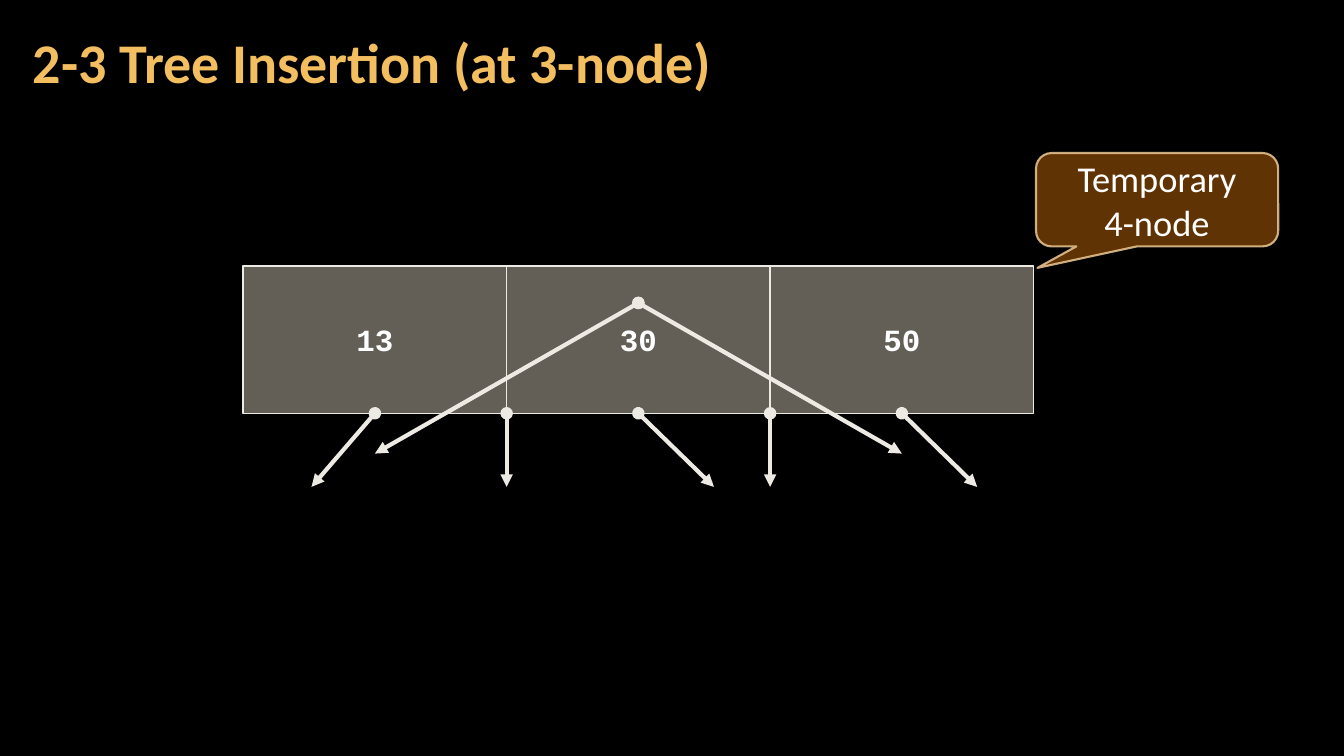
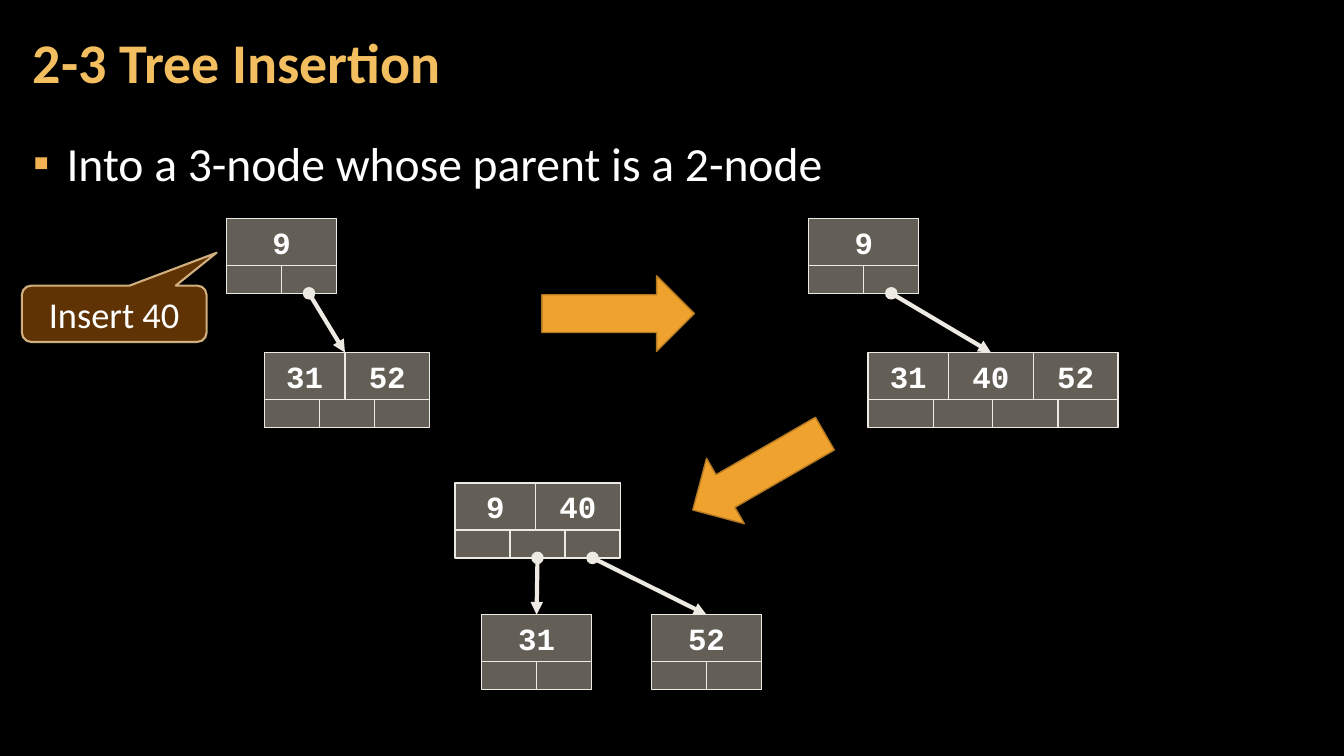
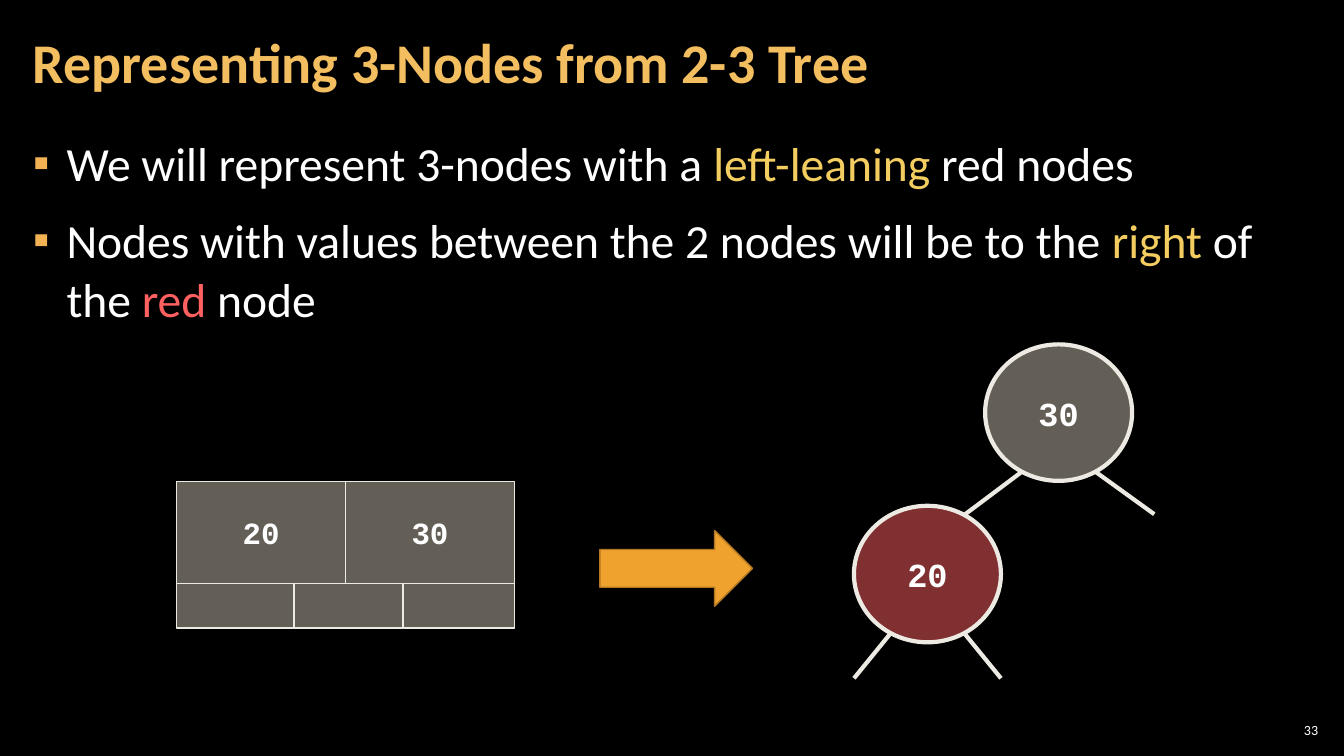
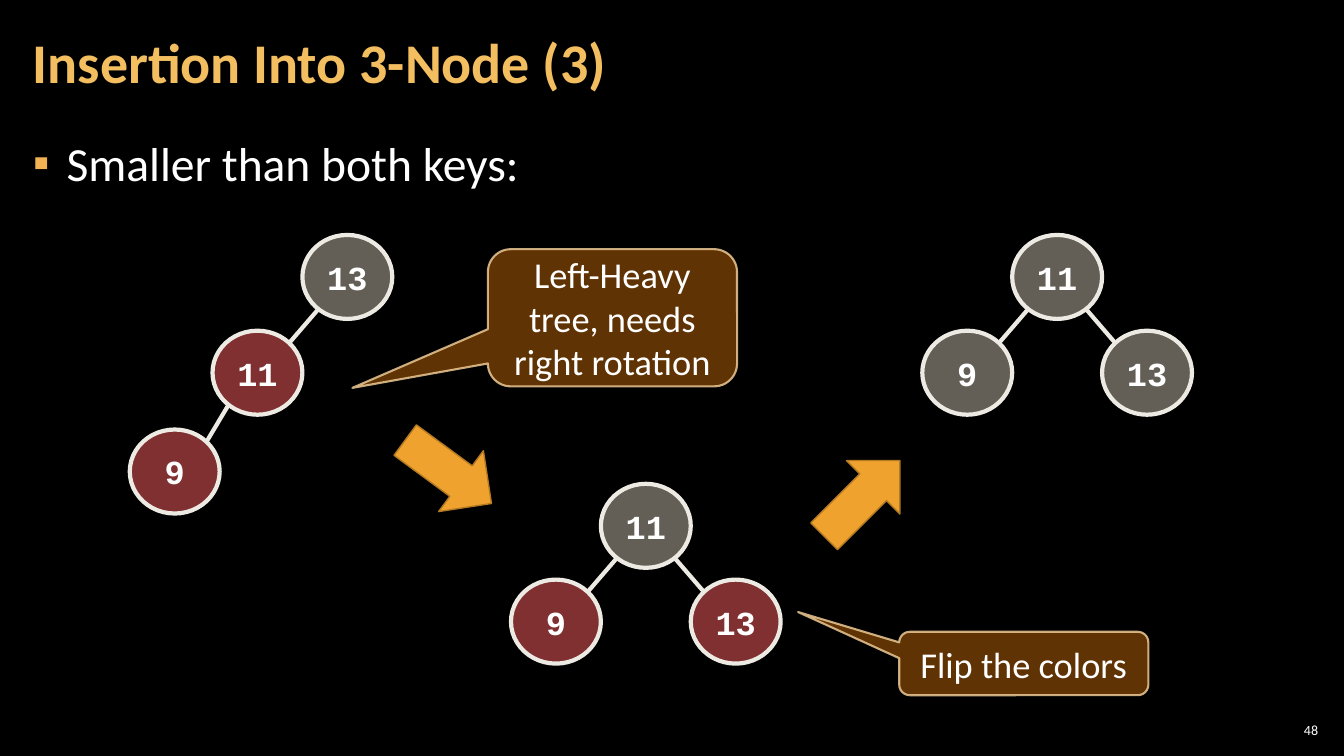
import math

import lxml.etree
import pptx
import pptx.dml.color
import pptx.enum.shapes
import pptx.enum.text
import pptx.oxml.ns
import pptx.util

Pt = pptx.util.Pt
RGBColor = pptx.dml.color.RGBColor
MSO_SHAPE = pptx.enum.shapes.MSO_SHAPE
PP_ALIGN = pptx.enum.text.PP_ALIGN
MSO_ANCHOR = pptx.enum.text.MSO_ANCHOR
qn = pptx.oxml.ns.qn

# Colours and fonts
BLACK = RGBColor(0x00, 0x00, 0x00)
WHITE = RGBColor(0xFF, 0xFF, 0xFF)
TITLE_GOLD = RGBColor(0xF3, 0xBE, 0x60)
BULLET_GOLD = RGBColor(0xF2, 0xB2, 0x54)
HIGHLIGHT = RGBColor(0xF3, 0xCD, 0x60)
RED = RGBColor(0xFF, 0x61, 0x61)
SAND = RGBColor(0xC7, 0xBF, 0xAC)
IVORY = RGBColor(0xEC, 0xEA, 0xE3)
BROWN = RGBColor(0x66, 0x36, 0x06)
CALLOUT_EDGE = RGBColor(0xF8, 0xD4, 0x9E)
ORANGE = RGBColor(0xF0, 0xA2, 0x2E)
ORANGE_EDGE = RGBColor(0xB2, 0x78, 0x22)
SANS = "Calibri"
MONO = "Courier New"

# Shared boxes and sizes in points: left, top, width, height
TITLE_BOX = (15, 3, 754, 87)
BODY_BOX = (15, 90.5, 929.5, 438.5)
NUMBER_BOX = (911, 514, 33.5, 15)
FIRST_KEY, NEXT_KEY, CHILD = 57.6, 60.5, 39.3
KEY_HEIGHT, CHILD_HEIGHT = 33.5, 20
CIRCLE_WIDTH, CIRCLE_HEIGHT = 64.2, 60
STEP_X, STEP_Y = 64.2, 68.4


def lengths(values):
    return [Pt(value) for value in values]


def write(frame, text, size=22, font=SANS, color=WHITE, bold=False,
          align=PP_ALIGN.CENTER, spacing=None, around=None, bullet=None):
    """Each line of text is a paragraph: a string or (string, colour) runs."""
    for index, line in enumerate([text] if isinstance(text, str) else text):
        paragraph = frame.paragraphs[0] if index == 0 else frame.add_paragraph()
        paragraph.alignment = align
        paragraph.line_spacing = spacing
        paragraph.space_before = paragraph.space_after = around
        for words, shade in [(line, color)] if isinstance(line, str) else line:
            run = paragraph.add_run()
            run.text = words
            run.font.size = Pt(size)
            run.font.name = font
            run.font.bold = bold
            run.font.color.rgb = shade
        if bullet:
            add_bullet(paragraph, bullet)


def add_bullet(paragraph, mark):
    properties = paragraph._p.get_or_add_pPr()
    properties.set("marL", str(Pt(24)))
    properties.set("indent", str(Pt(-24)))
    tint = lxml.etree.SubElement(properties, qn("a:buClr"))
    lxml.etree.SubElement(tint, qn("a:srgbClr"), val=str(BULLET_GOLD))
    lxml.etree.SubElement(properties, qn("a:buChar"), char=mark)


def add_block(slide, kind, box, fill, edge, weight, opacity=(100, 100)):
    """A preset shape; opacity is that of the fill and of the edge."""
    block = slide.shapes.add_shape(kind, *lengths(box))
    block.shadow.inherit = False
    block.fill.solid()
    block.fill.fore_color.rgb = fill
    block.line.color.rgb = edge
    block.line.width = Pt(weight)
    for tint, percent in zip(block._element.spPr.iter(qn("a:srgbClr")), opacity):
        if percent < 100:
            lxml.etree.SubElement(tint, qn("a:alpha"), val=str(percent * 1000))
    return block


def set_up_master(deck):
    master = deck.slide_master
    master.background.fill.solid()
    master.background.fill.fore_color.rgb = BLACK
    places = {
        pptx.enum.shapes.PP_PLACEHOLDER.TITLE: (TITLE_BOX, MSO_ANCHOR.MIDDLE),
        pptx.enum.shapes.PP_PLACEHOLDER.BODY: (BODY_BOX, MSO_ANCHOR.TOP),
    }
    for holder in master.placeholders:
        if holder.placeholder_format.type in places:
            box, anchor = places[holder.placeholder_format.type]
            holder.left, holder.top, holder.width, holder.height = lengths(box)
            frame = holder.text_frame
            frame.margin_left = frame.margin_right = Pt(8.5)
            frame.margin_top = frame.margin_bottom = Pt(3)
            frame.vertical_anchor = anchor
            frame.auto_size = pptx.enum.text.MSO_AUTO_SIZE.NONE


def add_slide(deck, title, points=None, number=None):
    slide = deck.slides.add_slide(deck.slide_layouts[1 if points else 5])
    write(slide.shapes.title.text_frame, title, size=40, color=TITLE_GOLD,
          bold=True, align=PP_ALIGN.LEFT, spacing=0.9)
    if points:
        write(slide.placeholders[1].text_frame, points, size=34,
              align=PP_ALIGN.LEFT, spacing=1.05, around=Pt(6), bullet="▪")
    if number:
        frame = slide.shapes.add_textbox(*lengths(NUMBER_BOX)).text_frame
        frame.word_wrap = True
        frame.vertical_anchor = MSO_ANCHOR.MIDDLE
        frame.margin_left = frame.margin_right = Pt(3)
        frame.margin_top = frame.margin_bottom = Pt(3)
        write(frame, number, size=10, align=PP_ALIGN.RIGHT)
    return slide


# Parts of the diagrams
def add_callout(slide, box, text, tip):
    callout = add_block(slide, MSO_SHAPE.ROUNDED_RECTANGULAR_CALLOUT, box,
                        BROWN, CALLOUT_EDGE, 1.5, (95, 80))
    callout.adjustments[0], callout.adjustments[1] = tip
    callout.text_frame.vertical_anchor = MSO_ANCHOR.MIDDLE
    write(callout.text_frame, text, size=26)


def add_step_arrow(slide, left, top, width=109, turn=0):
    arrow = add_block(slide, MSO_SHAPE.RIGHT_ARROW, (left, top, width, 54),
                      ORANGE, ORANGE_EDGE, 1)
    arrow.rotation = turn


def add_line(slide, start, end, pointer=False):
    """Start and end are points, or cells joined at the bottom and the top."""
    points = [place if isinstance(place, tuple) else (0, 0)
              for place in (start, end)]
    line = slide.shapes.add_connector(pptx.enum.shapes.MSO_CONNECTOR.STRAIGHT,
                                      *lengths(points[0] + points[1]))
    if not isinstance(start, tuple):
        line.begin_connect(start, 2)
    if not isinstance(end, tuple):
        line.end_connect(end, 0)
    line.line.color.rgb = IVORY
    line.line.width = Pt(3)
    properties = line._element.spPr
    if pointer:
        stroke = properties.find(qn("a:ln"))
        lxml.etree.SubElement(stroke, qn("a:headEnd"), type="oval")
        lxml.etree.SubElement(stroke, qn("a:tailEnd"), type="triangle")
    lxml.etree.SubElement(properties, qn("a:effectLst"))


def add_cells(slide, left, top, widths, height, keys=None):
    cells = []
    for index, width in enumerate(widths):
        cell = add_block(slide, MSO_SHAPE.RECTANGLE, (left, top, width, height),
                         SAND, IVORY, 1, (50, 100))
        if keys:
            cell.text_frame.vertical_anchor = MSO_ANCHOR.MIDDLE
            write(cell.text_frame, keys[index], font=MONO, bold=True)
        cells.append(cell)
        left += width
    return cells


def add_node(slide, left, top, keys, key_widths, child_widths,
             key_height=KEY_HEIGHT, child_height=CHILD_HEIGHT):
    """A row of keys above a row of child links."""
    key_cells = add_cells(slide, left, top, key_widths, key_height, keys)
    child_cells = add_cells(slide, left, top + key_height, child_widths,
                            child_height)
    return key_cells, child_cells


def add_two_node(slide, left, top, key):
    return add_node(slide, left, top, [key], [2 * CHILD], [CHILD] * 2)


def add_three_node(slide, left, top, keys):
    return add_node(slide, left, top, keys, [FIRST_KEY, NEXT_KEY], [CHILD] * 3)


def add_circle(slide, left, top, key, fill=SAND,
               width=CIRCLE_WIDTH, height=CIRCLE_HEIGHT):
    circle = add_block(slide, MSO_SHAPE.OVAL, (left, top, width, height),
                       fill, IVORY, 3, (50, 100))
    circle.text_frame.word_wrap = False
    circle.text_frame.vertical_anchor = MSO_ANCHOR.MIDDLE
    write(circle.text_frame, key, size=24, font=MONO, bold=True)
    return circle


def rim(circle, degrees):
    """Point on a circle's edge, clockwise from its right end."""
    angle = math.radians(degrees)
    return (circle.left.pt + circle.width.pt * (1 + math.cos(angle)) / 2,
            circle.top.pt + circle.height.pt * (1 + math.sin(angle)) / 2)


def add_branch(slide, parent, child, leave=50, arrive=45):
    if child.left < parent.left:
        add_line(slide, rim(parent, 180 - leave), rim(child, -arrive))
    else:
        add_line(slide, rim(parent, leave), rim(child, 180 + arrive))


def add_balanced_tree(slide, left, top, keys, child_fill):
    low, middle, high = keys
    root = add_circle(slide, left + STEP_X, top, middle)
    for key, shift in ((low, 0), (high, 2 * STEP_X)):
        child = add_circle(slide, left + shift, top + STEP_Y, key, child_fill)
        add_branch(slide, root, child)


# Slides
def temporary_node_slide(deck):
    slide = add_slide(deck, "2-3 Tree Insertion (at 3-node)")
    left, top, width, height = 173.7, 190, 188.2, 105.2
    first, middle, last = add_cells(slide, left, top, [width] * 3, height,
                                    ["13", "30", "50"])
    bottom, tip = top + height, top + height + 52.6
    for cell, tip_x in ((first, 222.5), (middle, 510), (last, 698)):
        add_line(slide, cell, (tip_x, tip), pointer=True)
    for border in (left + width, left + 2 * width):
        add_line(slide, (border, bottom), (border, tip), pointer=True)
    center = left + 1.5 * width
    for side in (-1, 1):
        add_line(slide, (center, top + 26.4),
                 (center + side * width, bottom + 28.8), pointer=True)
    add_callout(slide, (740, 109.3, 173, 66.7), ["Temporary", "4-node"],
                (-0.494, 0.73))


def parent_two_node_slide(deck):
    slide = add_slide(deck, "2-3 Tree Insertion",
                      ["Into a 3-node whose parent is a 2-node"])
    # Before
    leaf_left, leaf_top = 188.8, 251.8
    add_three_node(slide, leaf_left, leaf_top, ["31", "52"])
    links = add_two_node(slide, 161.8, 156, "9")[1]
    add_line(slide, links[1], (leaf_left + FIRST_KEY, leaf_top), pointer=True)
    add_callout(slide, (15.6, 204, 132, 40.3), "Insert 40", (0.554, -1.082))
    # Temporary 4-node
    add_step_arrow(slide, 387, 197)
    links = add_two_node(slide, 577.7, 156, "9")[1]
    keys = add_node(slide, 620, leaf_top, ["31", "40", "52"],
                    [FIRST_KEY, NEXT_KEY, NEXT_KEY], [46.8, 42, 46.8, 43])[0]
    add_line(slide, links[1], keys[1], pointer=True)
    # After the split
    add_step_arrow(slide, 487.5, 310, turn=150)
    links = add_three_node(slide, 325, 345, ["9", "40"])[1]
    for link, left, key in ((links[1], 344, "31"), (links[2], 465.3, "52")):
        keys = add_two_node(slide, left, 439, key)[0]
        add_line(slide, link, keys[0], pointer=True)


def red_node_slide(deck):
    slide = add_slide(deck, "Representing 3-Nodes from 2-3 Tree", [
        [("We will represent 3-nodes with a ", WHITE),
         ("left-leaning", HIGHLIGHT), (" red nodes", WHITE)],
        [("Nodes with values between the 2 nodes will be to the ", WHITE),
         ("right", HIGHLIGHT), (" of the ", WHITE), ("red", RED),
         (" node", WHITE)],
    ], number="33")
    add_node(slide, 126.2, 344, ["20", "30"], [120.6, 120.6],
             [83.8, 78, 79.4], key_height=72.8, child_height=31.8)
    add_step_arrow(slide, 428.5, 379)
    size = {"width": 105, "height": 97.5}
    black = add_circle(slide, 703.7, 246, "30", **size)
    red = add_circle(slide, 610, 361.3, "20", RED, **size)
    add_branch(slide, black, red, leave=60, arrive=60)
    for circle, angle, tip in ((black, 60, (824.5, 367.3)),
                               (red, 60, (715, 484.5)),
                               (red, 120, (610, 484.5))):
        add_line(slide, rim(circle, angle), tip)


def color_flip_slide(deck):
    slide = add_slide(deck, "Insertion Into 3-Node (3)",
                      ["Smaller than both keys:"], number="48")
    # Left-heavy chain
    top = add_circle(slide, 216, 167.8, "13")
    middle = add_circle(slide, 151.8, 236.2, "11", RED)
    bottom = add_circle(slide, 92.7, 306.8, "9", RED)
    add_branch(slide, top, middle)
    add_branch(slide, middle, bottom)
    add_callout(slide, (348.5, 178, 178, 98),
                "Left-Heavy tree, needs right rotation", (-1.044, 0.511))
    # Rotated, then recoloured
    keys = ["9", "11", "13"]
    add_step_arrow(slide, 282, 310, width=76.5, turn=36.3)
    add_balanced_tree(slide, 365, 345.6, keys, RED)
    add_callout(slide, (642.3, 451.3, 178, 45.3), "Flip the colors",
                (-0.906, -0.812))
    add_step_arrow(slide, 577.5, 329, width=76.5, turn=315)
    add_balanced_tree(slide, 658.8, 167.8, keys, SAND)


def main():
    deck = pptx.Presentation()
    deck.slide_width, deck.slide_height = Pt(960), Pt(540)
    set_up_master(deck)
    temporary_node_slide(deck)
    parent_two_node_slide(deck)
    red_node_slide(deck)
    color_flip_slide(deck)
    deck.save("out.pptx")


if __name__ == "__main__":
    main()
